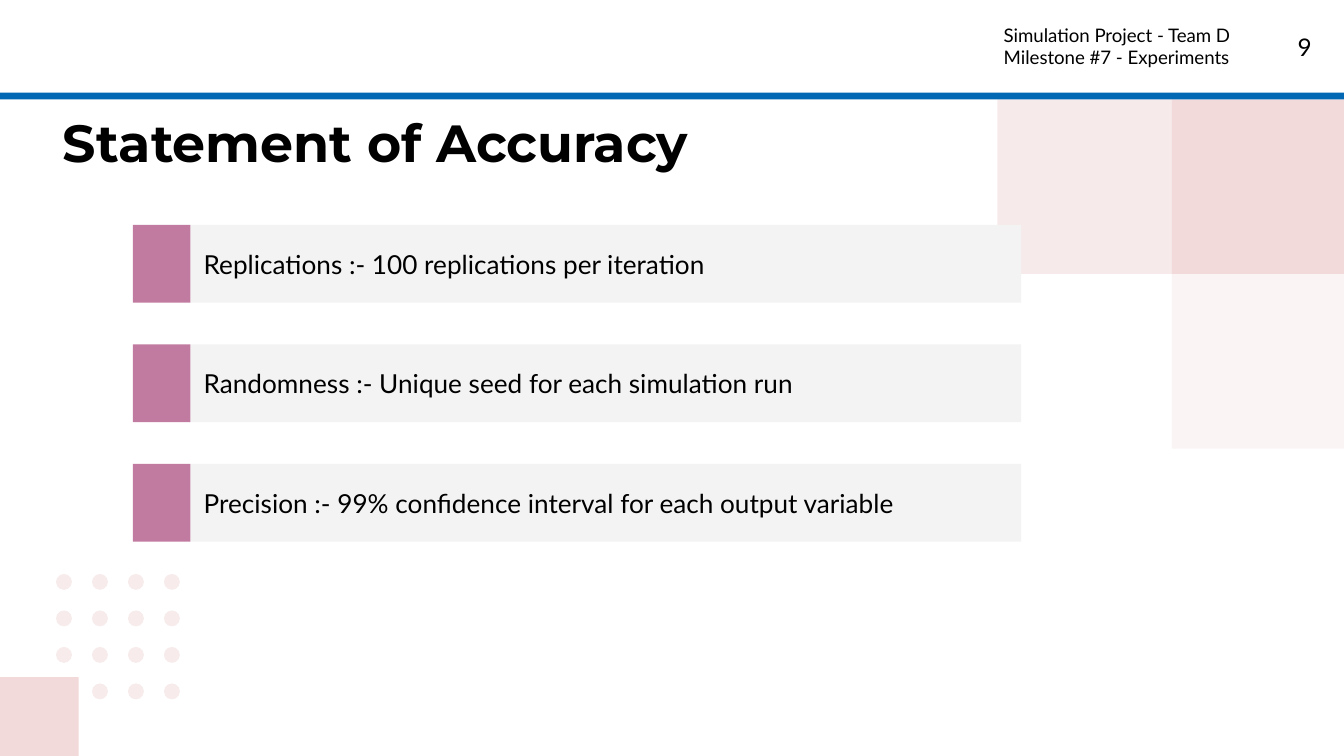
from pptx import Presentation
from pptx.dml.color import RGBColor
from pptx.enum.shapes import MSO_SHAPE
from pptx.enum.text import MSO_ANCHOR, PP_ALIGN
from pptx.oxml.ns import qn
from pptx.util import Cm, Pt
from lxml.etree import SubElement

COLORS = {
    "white": "FFFFFF",
    "black": "000000",
    "blue": "0268B4",
    "blush": "F2DADA",
    "dot": "F7EBEB",
    "mauve": "C27BA0",
    "gray": "F3F3F3",
}

STATEMENTS = [
    "Replications :- 100 replications per iteration",
    "Randomness :- Unique seed for each simulation run",
    "Precision :- 99% confidence interval for each output variable",
]


def add_block(page, left, top, width, height, color,
              kind=MSO_SHAPE.RECTANGLE, opacity=100):
    """Add a borderless filled shape; opacity is in percent."""
    block = page.shapes.add_shape(kind, Cm(left), Cm(top), Cm(width), Cm(height))
    block.shadow.inherit = False
    block.line.fill.background()
    block.fill.solid()
    block.fill.fore_color.rgb = RGBColor.from_string(COLORS[color])
    if opacity < 100:
        tint = block.fill._xPr.find(qn("a:solidFill"))[0]
        SubElement(tint, qn("a:alpha")).set("val", str(opacity * 1000))
    return block


def write_text(shape, lines, size, font="Lato", bold=False,
               anchor=MSO_ANCHOR.TOP, align=PP_ALIGN.LEFT):
    """Fill a shape with one paragraph per line."""
    frame = shape.text_frame
    frame.word_wrap = True
    frame.vertical_anchor = anchor
    frame.margin_left = frame.margin_right = Cm(0.25)
    frame.margin_top = frame.margin_bottom = Cm(0.25)
    frame.text = "\n".join(lines)
    for para in frame.paragraphs:
        para.alignment = align
        para.font.name = font
        para.font.size = Pt(size)
        para.font.bold = bold
        para.font.color.rgb = RGBColor.from_string(COLORS["black"])


def add_text(page, left, top, width, height, lines, size, **style):
    box = page.shapes.add_textbox(Cm(left), Cm(top), Cm(width), Cm(height))
    write_text(box, lines, size, **style)


def add_dot_grid(page):
    """Four by four dots, without the one at the bottom left."""
    for row in range(4):
        for column in range(4):
            if (row, column) != (3, 0):
                add_block(page, 1.06 + 0.68 * column, 10.85 + 0.69 * row,
                          0.3, 0.3, "dot", MSO_SHAPE.OVAL)


def add_corner_squares(page):
    side, left, top = 3.3, 22.15, 1.88
    add_block(page, 0, 12.8, 1.49, 1.49, "blush")
    add_block(page, left, top, side, side, "blush")
    add_block(page, left, top + side, side, side, "blush", opacity=28)
    add_block(page, left - side, top, side, side, "blush", opacity=55)


def add_statement(page, top, statement):
    """A gray bar with its colored marker on the left."""
    height = 1.47
    bar = add_block(page, 3.6, top, 15.7, height, "gray")
    write_text(bar, [statement], 14, anchor=MSO_ANCHOR.MIDDLE)
    add_block(page, 2.51, top, 1.09, height, "mauve")


def main():
    deck = Presentation()
    deck.slide_width, deck.slide_height = Cm(25.4), Cm(14.29)
    page = deck.slides.add_slide(deck.slide_layouts[6])

    # Background decoration
    add_dot_grid(page)
    add_corner_squares(page)

    # Header band and rule
    add_block(page, 0, 0, 25.4, 1.75, "white")
    add_block(page, 0, 1.75, 25.4, 0.13, "blue")

    # Title
    add_text(page, 0.94, 1.83, 16.61, 1.6, ["Statement of Accuracy"], 28,
             font="Montserrat", bold=True)

    # Statements
    for index, statement in enumerate(STATEMENTS):
        add_statement(page, 4.25 + 2.26 * index, statement)

    # Page number and project name
    add_text(page, 23.52, 0.36, 1.52, 1.09, ["9"], 13, align=PP_ALIGN.RIGHT)
    add_text(page, 18.72, 0.2, 5.28, 1.32,
             ["Simulation Project - Team D", "Milestone #7 - Experiments"], 10)

    deck.save("out.pptx")


if __name__ == "__main__":
    main()
